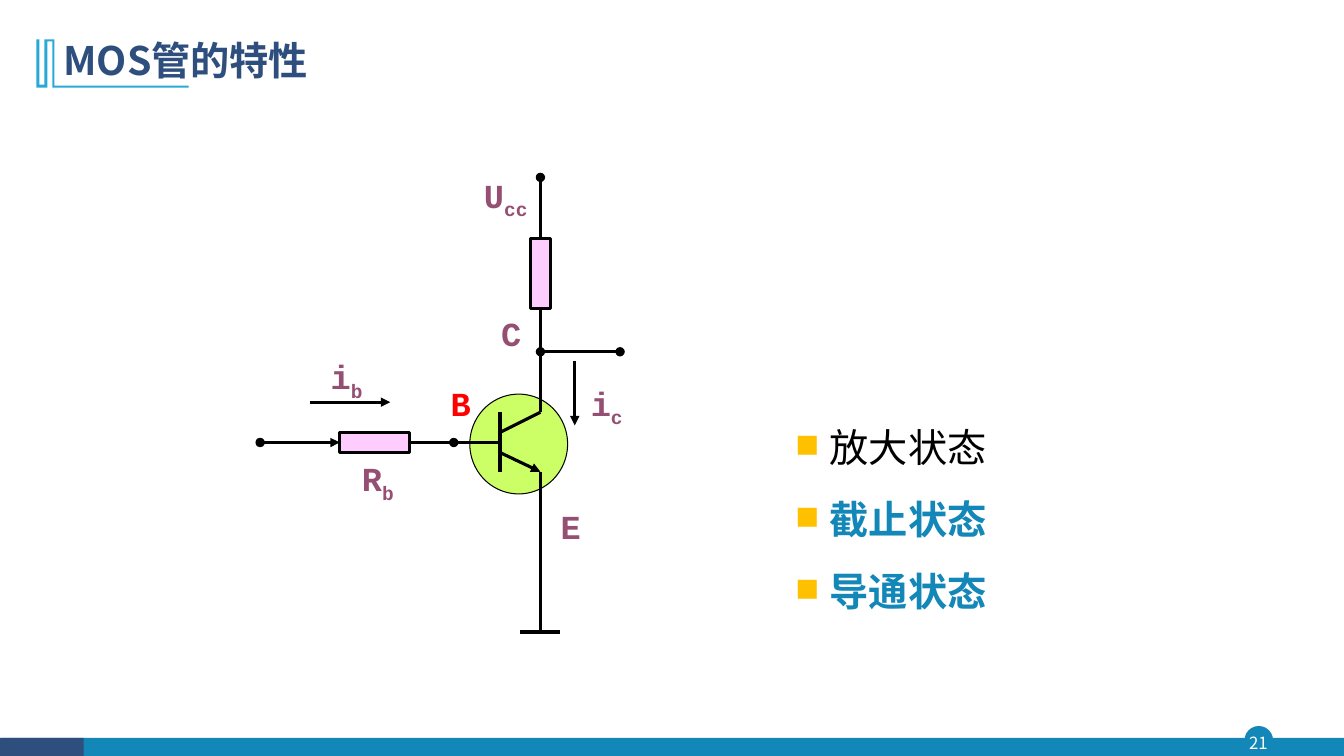
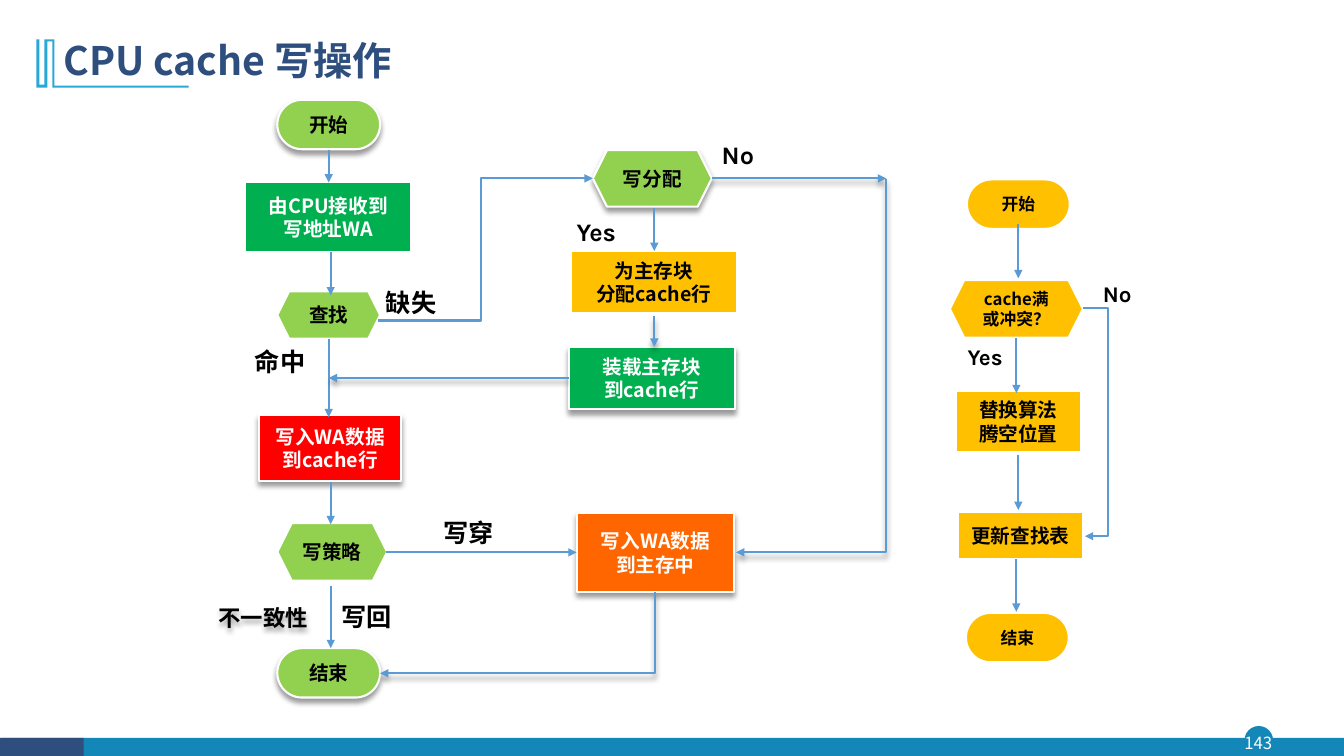
from dataclasses import dataclass
from typing import Optional

import lxml.etree
import pptx
import pptx.dml.color
import pptx.enum.shapes
import pptx.enum.text
import pptx.oxml.ns
import pptx.util

Inches = pptx.util.Inches
Pt = pptx.util.Pt
Shape = pptx.enum.shapes.MSO_SHAPE
Link = pptx.enum.shapes.MSO_CONNECTOR
Align = pptx.enum.text.PP_ALIGN
Anchor = pptx.enum.text.MSO_ANCHOR
qn = pptx.oxml.ns.qn

SANS, MONO, KARLA = "Noto Sans CJK SC", "Courier New", "Karla"
BLACK, WHITE = "000000", "FFFFFF"
NAVY, TEAL, SKY, BLUE = "2E4E7E", "1387B7", "28A9D6", "5B9BD5"
LIME, GREEN, GOLD = "92D050", "00B050", "FFC000"
RED, ORANGE, PLUM = "FF0000", "FF6600", "954F72"
PALE, PINK = "CCFF66", "FFCCFF"

# Outline of the title mark, in hundredths of an inch
MARK = [(54, 39), (54, 85), (187, 85), (187, 87), (52, 87), (52, 41),
        (47, 41), (47, 87), (36, 87), (36, 39), (39, 39), (39, 84),
        (44, 84), (44, 39)]


@dataclass(frozen=True)
class Style:
    size: float = 14
    color: str = BLACK
    bold: bool = True
    font: str = SANS
    align: Align = Align.LEFT


@dataclass(frozen=True)
class Node:
    form: Shape
    box: tuple[float, float, float, float]
    text: str
    fill: str
    color: str = BLACK
    size: float = 14
    shade: bool = False


@dataclass(frozen=True)
class Wire:
    """A line; a bend value makes it an elbow that turns at that share of its width."""
    start: tuple[float, float]
    end: tuple[float, float]
    head: str = ""
    tail: str = ""
    bend: Optional[float] = None
    shade: bool = False


@dataclass(frozen=True)
class Label:
    box: tuple[float, float, float, float]
    text: str
    style: Style
    sub: str = ""
    inset: float = 0.1
    shade: bool = False


def paint(fill, color: str) -> None:
    fill.solid()
    fill.fore_color.rgb = pptx.dml.color.RGBColor.from_string(color)


def add(parent, tag: str, **attrs: str):
    return lxml.etree.SubElement(parent, qn(tag), attrs)


def set_shade(shape, shade: bool) -> None:
    """Drop the theme shadow, then add a soft one below if asked."""
    props = shape.element.spPr
    effects = props.find(qn("a:effectLst"))
    if effects is None:
        effects = add(props, "a:effectLst")
    if shade:
        outer = add(effects, "a:outerShdw", blurRad=str(Pt(4)), dist=str(Pt(3)),
                    dir="5400000", algn="t", rotWithShape="0")
        add(add(outer, "a:srgbClr", val=BLACK), "a:alpha", val="40000")


def set_font(para, style: Style) -> None:
    para.alignment = style.align
    font = para.font
    font.size, font.bold, font.name = Pt(style.size), style.bold, style.font
    paint(font.fill, style.color)
    add(para._p.pPr.find(qn("a:defRPr")), "a:ea", typeface=style.font)


def write(frame, text: str, style: Style) -> None:
    frame.word_wrap = True
    for index, line in enumerate(text.split("\n")):
        para = frame.add_paragraph() if index else frame.paragraphs[0]
        para.add_run().text = line
        set_font(para, style)


def place(shape, box) -> None:
    shape.left, shape.top, shape.width, shape.height = map(Inches, box)


def draw_shape(slide, form: Shape, box, fill: str, edge: str = "",
               width: float = 1, shade: bool = False):
    shape = slide.shapes.add_shape(form, *map(Inches, box))
    paint(shape.fill, fill)
    if edge:
        paint(shape.line.fill, edge)
        shape.line.width = Pt(width)
    else:
        shape.line.fill.background()
    shape.shadow.inherit = False
    set_shade(shape, shade)
    return shape


def draw_node(slide, node: Node) -> None:
    shape = draw_shape(slide, node.form, node.box, node.fill, WHITE, 1.5, node.shade)
    if node.form == Shape.ROUNDED_RECTANGLE:
        shape.adjustments[0] = 0.5
    shape.text_frame.vertical_anchor = Anchor.MIDDLE
    write(shape.text_frame, node.text,
          Style(node.size, node.color, align=Align.CENTER))


def draw_wire(slide, wire: Wire, color: str, width: float) -> None:
    kind = Link.STRAIGHT if wire.bend is None else Link.ELBOW
    line = slide.shapes.add_connector(kind, *map(Inches, wire.start + wire.end))
    paint(line.line.fill, color)
    line.line.width = Pt(width)
    props = line.element.spPr
    for tag, end in (("a:headEnd", wire.head), ("a:tailEnd", wire.tail)):
        if end:
            add(props.find(qn("a:ln")), tag, type=end)
    if wire.bend is not None:
        guides = props.find(qn("a:prstGeom")).find(qn("a:avLst"))
        add(guides, "a:gd", name="adj1", fmla=f"val {round(wire.bend * 100000)}")
    set_shade(line, wire.shade)


def draw_label(slide, label: Label) -> None:
    box = slide.shapes.add_textbox(*map(Inches, label.box))
    frame = box.text_frame
    frame.margin_left = frame.margin_right = Inches(label.inset)
    frame.margin_top = frame.margin_bottom = Inches(label.inset / 2)
    write(frame, label.text, label.style)
    if label.sub:
        run = frame.paragraphs[0].add_run()
        run.text = label.sub
        run._r.get_or_add_rPr().set("baseline", "-25000")
    if label.shade:
        box.fill.background()
        set_shade(box, True)


def start_slide(deck, layout: int, title: str, number: int):
    """Add a slide with the shared band, page number, mark and title."""
    slide = deck.slides.add_slide(deck.slide_layouts[layout])
    draw_shape(slide, Shape.OVAL, (12.35, 7.21, 0.27, 0.27), TEAL, TEAL)
    draw_shape(slide, Shape.RECTANGLE, (0.01, 7.32, 13.32, 0.19), TEAL)
    draw_shape(slide, Shape.RECTANGLE, (0, 7.32, 0.83, 0.19), NAVY)
    page = slide.shapes.add_textbox(*map(Inches, (12.32, 7.21, 0.32, 0.31)))
    frame = page.text_frame
    frame.margin_left = frame.margin_right = 0
    frame.margin_top = frame.margin_bottom = 0
    frame.vertical_anchor = Anchor.MIDDLE
    write(frame, str(number), Style(12, WHITE, False, align=Align.CENTER))

    pen = slide.shapes.build_freeform(*MARK[0], scale=Inches(0.01))
    pen.add_line_segments(MARK[1:], close=True)
    mark = pen.convert_to_shape()
    paint(mark.fill, SKY)
    mark.line.fill.background()
    mark.shadow.inherit = False

    head = slide.shapes.title
    place(head, (0.53, 0.28, 11.5, 0.68))
    head.text_frame.vertical_anchor = Anchor.MIDDLE
    head.text_frame.auto_size = pptx.enum.text.MSO_AUTO_SIZE.NONE
    write(head.text_frame, title, Style(28, NAVY))
    head.text_frame.paragraphs[0].line_spacing = 0.9
    return slide


def fill_list(body, items: list[tuple[str, Style]]) -> None:
    place(body, (7.79, 3.99, 3.86, 2.72))
    frame = body.text_frame
    frame.word_wrap = True
    frame.auto_size = pptx.enum.text.MSO_AUTO_SIZE.NONE
    frame.vertical_anchor = Anchor.TOP
    for index, (text, style) in enumerate(items):
        para = frame.add_paragraph() if index else frame.paragraphs[0]
        para.add_run().text = text
        para.line_spacing = 1.35
        para.space_before = Pt(6 if index else 0)
        props = para._p.get_or_add_pPr()
        props.set("marL", str(Inches(0.34)))
        props.set("indent", str(-Inches(0.34)))
        add(add(props, "a:buClr"), "a:srgbClr", val=GOLD)
        add(props, "a:buFont", typeface=MONO)
        add(props, "a:buChar", char="■")
        set_font(para, style)


def build_circuit(deck) -> None:
    slide = start_slide(deck, 1, "MOS管的特性", 21)
    state = Style(28, TEAL)
    fill_list(slide.placeholders[1], [("放大状态", Style(28, bold=False)),
                                      ("截止状态", state), ("导通状态", state)])
    draw_shape(slide, Shape.OVAL, (4.66, 3.91, 0.97, 0.99), PALE, BLACK, 0.75)

    main, base, row = 5.36, 4.96, 4.39
    dot, tip = "oval", "triangle"
    draw_wire(slide, Wire((base, 4.09), (base, 4.68)), BLACK, 3)
    for wire in [
        Wire((2.58, row), (3.37, row), dot, tip),
        Wire((3.9, row), (4.5, row), tail=dot),
        Wire((4.36, row), (base, row)),
        Wire((base, 4.49), (main, 4.68), tail=tip),
        Wire((base, 4.29), (main, 4.09)),
        Wire((main, 4.09), (main, 2.9)),
        Wire((main, 2.35), (main, 1.76), tail=dot),
        Wire((main, 3.49), (6.15, 3.49), dot, dot),
        Wire((main, 6.27), (main, 4.68)),
        Wire((5.16, 6.27), (5.55, 6.27)),
        Wire((3.07, 3.99), (3.87, 3.99), tail=tip),
        Wire((5.7, 3.58), (5.7, 4.22), tail=tip),
    ]:
        draw_wire(slide, wire, BLACK, 2.25)
    for box in [(5.26, 2.37, 0.2, 0.69), (3.37, 4.29, 0.69, 0.2)]:
        draw_shape(slide, Shape.RECTANGLE, box, PINK, BLACK, 2.25)
    for left, top, text, sub, color in [
        (3.27, 3.53, "i", "b", PLUM), (3.58, 4.54, "R", "b", PLUM),
        (5.85, 3.79, "i", "c", PLUM), (4.46, 3.79, "B", "", RED),
        (5.55, 5.01, "E", "", PLUM), (4.96, 3.1, "C", "", PLUM),
        (4.79, 1.73, "U", "cc", PLUM),
    ]:
        style = Style(24, color, font=MONO, align=Align.JUSTIFY)
        draw_label(slide, Label((left, top, 0.6, 0.4), text, style, sub, 0.01))


def build_flow(deck) -> None:
    slide = start_slide(deck, 5, "CPU cache 写操作", 143)
    pill, rect, hexa = Shape.ROUNDED_RECTANGLE, Shape.RECTANGLE, Shape.HEXAGON
    for node in [
        Node(pill, (2.75, 0.99, 1.02, 0.49), "开始", LIME, shade=True),
        Node(rect, (2.43, 1.81, 1.65, 0.69), "由CPU接收到\n写地址WA", GREEN, WHITE),
        Node(hexa, (2.75, 2.89, 1.02, 0.47), "查找", LIME),
        Node(rect, (2.57, 4.12, 1.41, 0.65), "写入WA数据\n到cache行", RED, WHITE,
             shade=True),
        Node(hexa, (2.75, 5.19, 1.09, 0.57), "写策略", LIME),
        Node(pill, (2.75, 6.43, 1.02, 0.49), "结束", LIME, shade=True),
        Node(hexa, (5.88, 1.49, 1.18, 0.56), "写分配", LIME, shade=True),
        Node(rect, (5.66, 2.49, 1.65, 0.62), "为主存块\n分配cache行", GOLD),
        Node(rect, (5.64, 3.44, 1.65, 0.62), "装载主存块\n到cache行", GREEN, WHITE,
             shade=True),
        Node(rect, (5.72, 5.09, 1.56, 0.78), "写入WA数据\n到主存中", ORANGE, WHITE,
             shade=True),
        Node(pill, (9.59, 1.78, 1.02, 0.49), "开始", GOLD, size=12),
        Node(hexa, (9.42, 2.78, 1.32, 0.57), "cache满\n或冲突？", GOLD, size=12),
        Node(rect, (9.48, 3.88, 1.24, 0.61), "替换算法\n腾空位置", GOLD),
        Node(rect, (9.5, 5.08, 1.24, 0.47), "更新查找表", GOLD),
        Node(pill, (9.58, 6.08, 1.02, 0.49), "结束", GOLD, size=12),
    ]:
        draw_node(slide, node)

    for x, top, low in [
        (3.26, 1.49, 1.81), (3.28, 2.5, 2.93), (3.26, 3.36, 4.14),
        (3.28, 4.78, 5.2), (3.28, 5.81, 6.43), (6.49, 2.06, 2.49),
        (10.1, 2.22, 2.76), (10.08, 3.35, 3.9), (10.1, 4.51, 5.06),
        (10.08, 5.55, 6.07),
    ]:
        draw_wire(slide, Wire((x, top), (x, low), tail="triangle"), BLUE, 1.5)
    for start, end, bend, shade in [
        ((6.49, 3.14), (6.49, 3.44), None, True),
        ((7.06, 1.77), (8.79, 1.77), None, True),
        ((5.64, 3.75), (3.26, 3.75), None, True),
        ((3.83, 5.48), (5.72, 5.48), None, False),
        ((3.75, 3.18), (5.88, 1.77), 0.48, False),
        ((6.5, 5.87), (3.77, 6.68), 0, True),
        ((8.79, 1.78), (7.3, 5.48), 0, True),
        ((10.74, 3.06), (10.76, 5.32), 12.5, False),
    ]:
        draw_wire(slide, Wire(start, end, "", "triangle", bend, shade), BLUE, 1.5)

    for left, top, wide, text, size, font in [
        (7.06, 1.33, 1.2, "No", 18, KARLA), (5.62, 2.1, 0.81, "Yes", 18, KARLA),
        (10.84, 2.73, 0.63, "No", 16, KARLA), (9.5, 3.36, 0.63, "Yes", 16, KARLA),
        (3.73, 2.8, 0.81, "缺失", 18, SANS), (2.43, 3.39, 0.8, "命中", 18, SANS),
        (4.3, 5.08, 0.77, "写穿", 18, SANS), (3.29, 5.92, 0.85, "写回", 18, SANS),
        (2.07, 5.94, 1.36, "不一致性", 16, SANS),
    ]:
        draw_label(slide, Label((left, top, wide, 0.4), text, Style(size, font=font),
                                shade=text == "不一致性"))


def main() -> None:
    deck = pptx.Presentation()
    deck.slide_width, deck.slide_height = Inches(13.33), Inches(7.5)
    build_circuit(deck)
    build_flow(deck)
    deck.save("out.pptx")


if __name__ == "__main__":
    main()
